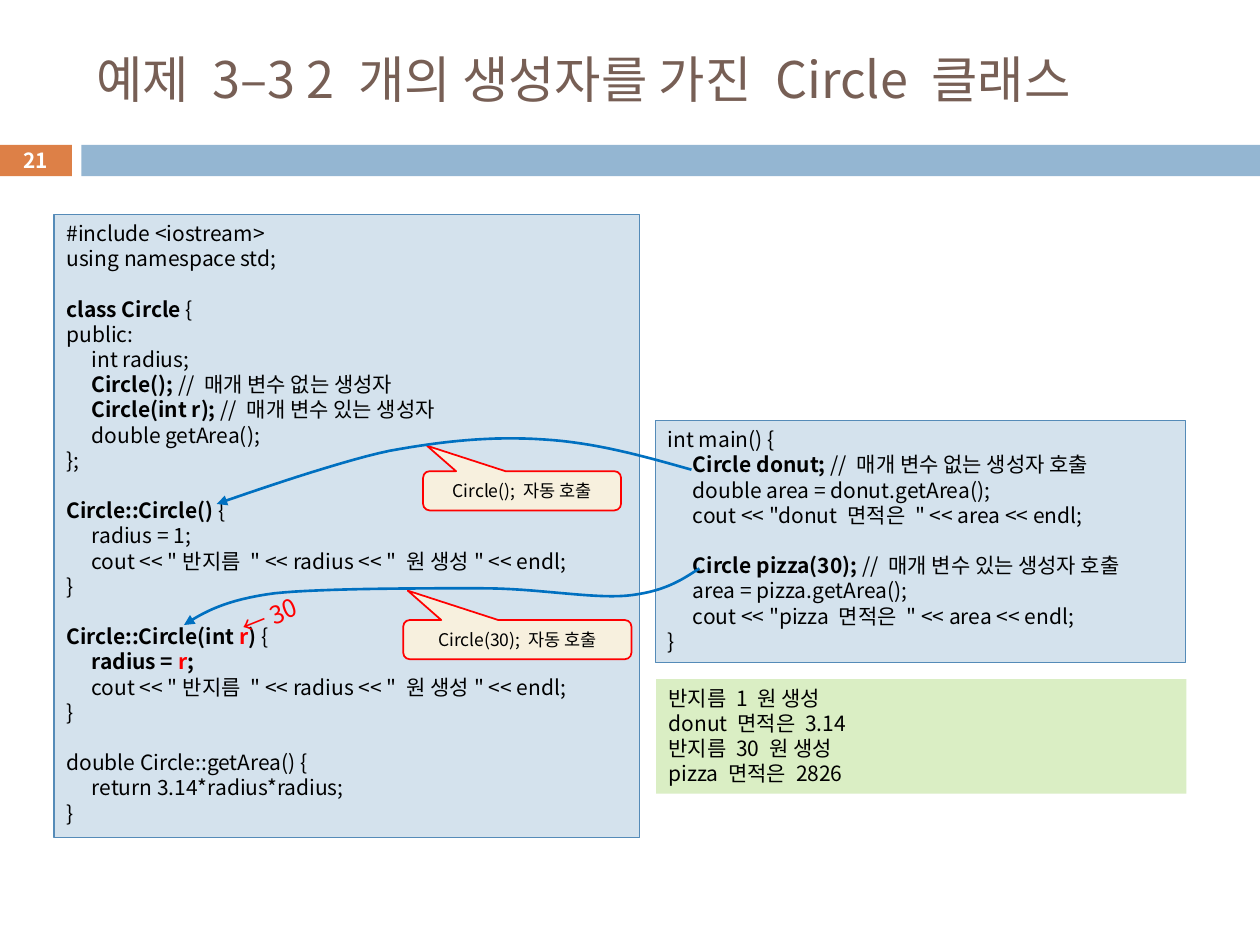
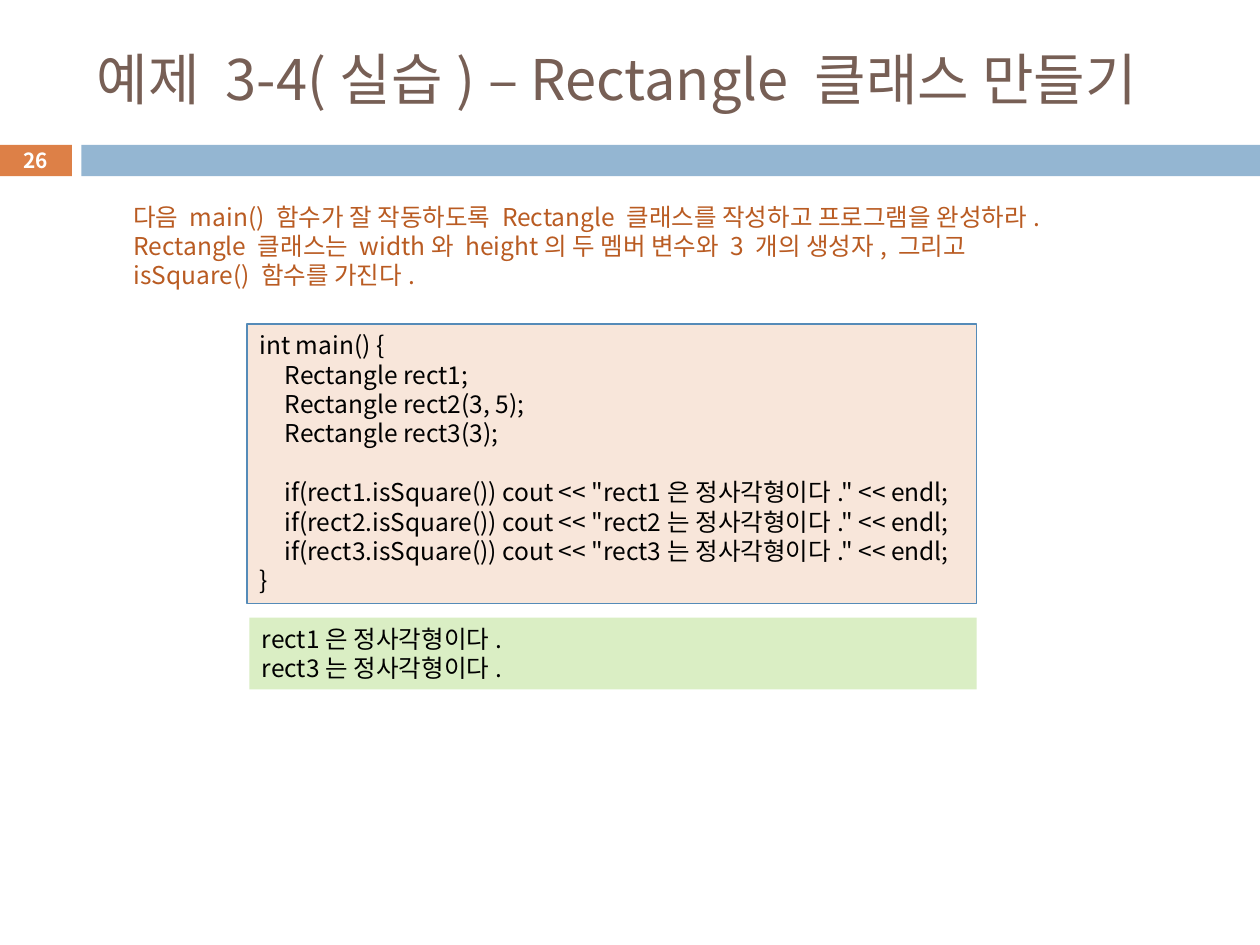
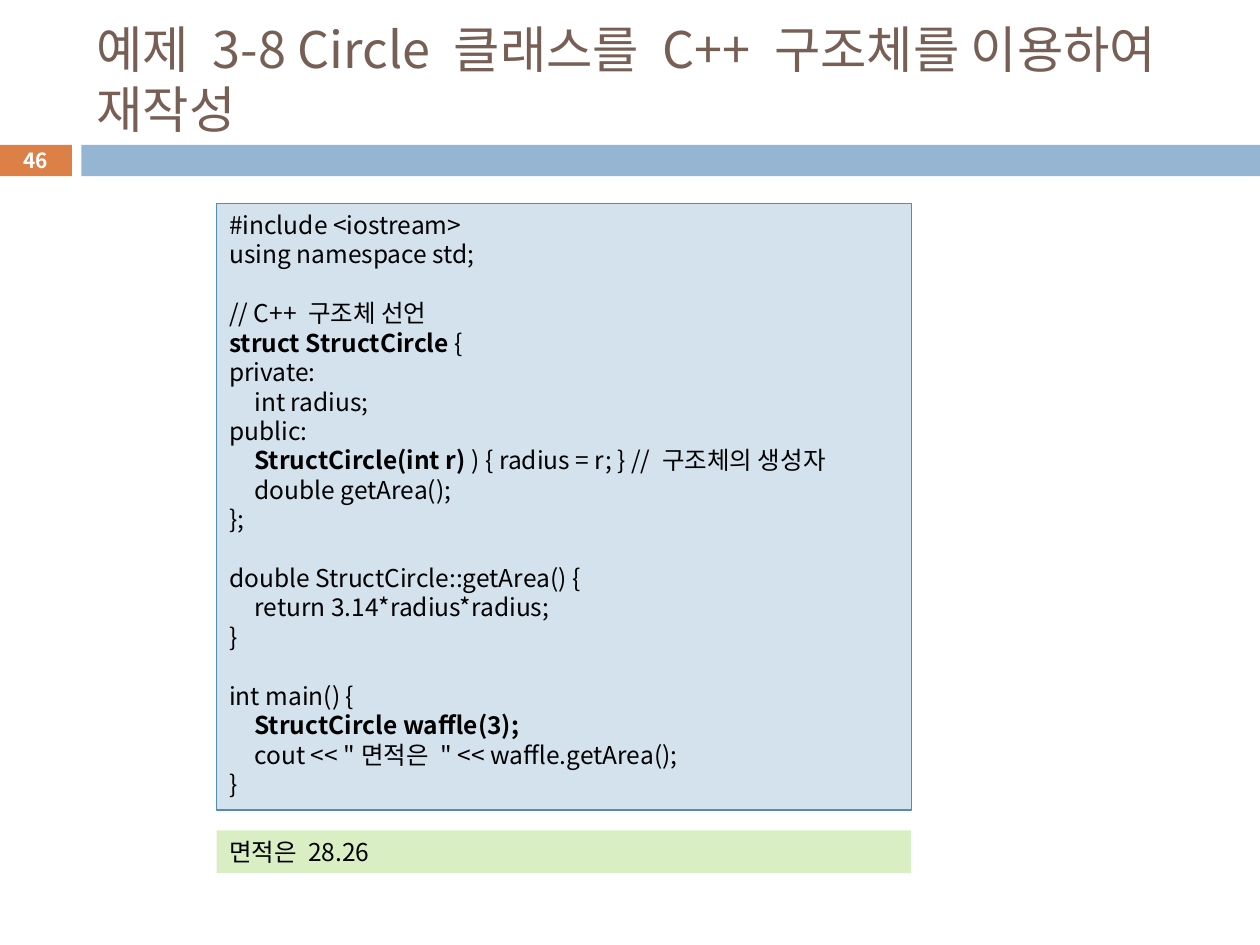
from dataclasses import dataclass

from lxml import etree
from pptx import Presentation
from pptx.dml.color import RGBColor
from pptx.enum.shapes import MSO_SHAPE
from pptx.enum.text import MSO_ANCHOR, PP_ALIGN
from pptx.oxml.ns import qn
from pptx.util import Cm, Pt

RECTANGLE = MSO_SHAPE.RECTANGLE
CALLOUT = MSO_SHAPE.ROUNDED_RECTANGULAR_CALLOUT
TOP, MIDDLE = MSO_ANCHOR.TOP, MSO_ANCHOR.MIDDLE
LEFT, CENTER = PP_ALIGN.LEFT, PP_ALIGN.CENTER


@dataclass(frozen=True)
class Theme:
    font: str = "Noto Sans CJK KR"
    title: str = "775F55"
    tab: str = "DD8047"
    band: str = "94B6D2"
    code: str = "D4E2ED"
    exercise: str = "F8E6DA"
    output: str = "DAEEC4"
    outline: str = "558BB8"
    note: str = "F7F0DE"
    accent: str = "FF0000"
    arrow: str = "0070C0"
    intro: str = "B95B22"
    text: str = "000000"
    white: str = "FFFFFF"
    title_size: float = 28.8
    wide_title_size: float = 32
    number_size: float = 11.9
    small_size: float = 10
    code_size: float = 12
    body_size: float = 14
    line_height: float = 1.2


THEME = Theme()


def add_box(page, place, fill=None, outline=None, kind=RECTANGLE, weight=0.75):
    """Add a shape at (left, top, width, height) in cm; without a fill, a text box."""
    lengths = [Cm(value) for value in place]
    if fill is None:
        return page.shapes.add_textbox(*lengths)
    box = page.shapes.add_shape(kind, *lengths)
    box.shadow.inherit = False
    box.fill.solid()
    box.fill.fore_color.rgb = RGBColor.from_string(fill)
    if outline:
        box.line.color.rgb = RGBColor.from_string(outline)
        box.line.width = Pt(weight)
    else:
        box.line.fill.background()
    return box


def write(box, text, size=THEME.body_size, color=THEME.text, bold=False,
          align=LEFT, anchor=TOP, wrap=True):
    """Write lines: ** toggles bold, ^^ toggles the accent colour,
    leading blanks indent a line and an empty line opens a gap."""
    frame = box.text_frame
    frame.word_wrap = wrap
    frame.vertical_anchor = anchor
    para, gap = None, False
    for line in text.strip().split("\n"):
        if not line:
            gap = True
            continue
        para = frame.add_paragraph() if para else frame.paragraphs[0]
        para.alignment = align
        para.line_spacing = Pt(size * THEME.line_height)
        if gap:
            para.space_before = Pt(size * THEME.line_height)
            gap = False
        if line.startswith(" "):
            para._p.get_or_add_pPr().set("marL", str(Cm(0.51)))
        for i, part in enumerate(line.lstrip().split("**")):
            for j, piece in enumerate(part.split("^^")):
                if not piece:
                    continue
                span = para.add_run()
                span.text = piece
                span.font.size = Pt(size)
                span.font.bold = bold or i % 2 == 1
                span.font.color.rgb = RGBColor.from_string(THEME.accent if j % 2 else color)
                span.font.name = THEME.font
                east_asian = etree.SubElement(span.font._element, qn("a:ea"))
                east_asian.set("typeface", THEME.font)


deck = Presentation()
deck.slide_width, deck.slide_height = Cm(25.4), Cm(19.05)

# Title, number tab and band on every page
pages = []
for number, title, title_size in (
    (21, "예제 3–3 2 개의 생성자를 가진 Circle 클래스", THEME.title_size),
    (26, "예제 3-4(실습) – Rectangle 클래스 만들기", THEME.wide_title_size),
    (46, "예제 3-8 Circle 클래스를 C++ 구조체를 이용하여 재작성", THEME.title_size),
):
    page = deck.slides.add_slide(deck.slide_layouts[6])
    tab = add_box(page, (0, 2.92, 1.45, 0.63), THEME.tab)
    tab.text_frame.margin_top = tab.text_frame.margin_bottom = 0
    write(tab, str(number), THEME.number_size, THEME.white, bold=True,
          align=CENTER, anchor=MIDDLE)
    add_box(page, (1.64, 2.92, 23.76, 0.63), THEME.band)
    write(add_box(page, (1.7, 0.64, 22.66, 1.88)), title, title_size, THEME.title,
          anchor=MIDDLE)
    pages.append(page)
constructors, exercise, structure = pages

# Two constructors of Circle
write(add_box(constructors, (1.09, 4.32, 11.81, 12.57), THEME.code, THEME.outline), """
#include <iostream>
using namespace std;

**class Circle **{
public:
    int radius;
    **Circle(); **// 매개 변수 없는 생성자
    **Circle(int r); **// 매개 변수 있는 생성자
    double getArea();
};

**Circle::Circle() **{
    radius = 1;
    cout << "반지름 " << radius << " 원 생성" << endl;
}

**Circle::Circle(int ^^r^^) **{
    **radius = ^^r^^;**
    cout << "반지름 " << radius << " 원 생성" << endl;
}

double Circle::getArea() {
    return 3.14*radius*radius;
}
""", THEME.code_size)

write(add_box(constructors, (13.21, 8.48, 10.69, 4.88), THEME.code, THEME.outline), """
int main() {
    **Circle donut; **// 매개 변수 없는 생성자 호출
    double area = donut.getArea();
    cout << "donut 면적은 " << area << endl;

    **Circle pizza(30); **// 매개 변수 있는 생성자 호출
    area = pizza.getArea();
    cout << "pizza 면적은 " << area << endl;
}
""", THEME.code_size)

for text, place, pointer in (
    ("Circle(30); 자동 호출", (8.13, 12.5, 4.6, 0.79), (-0.48, -1.25)),
    ("Circle(); 자동 호출", (8.53, 9.5, 3.99, 0.79), (-0.48, -1.15)),
):
    callout = add_box(constructors, place, THEME.note, THEME.accent, CALLOUT, weight=1)
    callout.adjustments[0], callout.adjustments[1] = pointer
    write(callout, text, THEME.small_size, align=CENTER, anchor=MIDDLE)

argument = add_box(constructors, (4.6, 11.99, 1.73, 0.86))
argument.rotation = 338.1
write(argument, "← 30", color=THEME.accent, wrap=False)

write(add_box(constructors, (13.23, 13.69, 10.69, 2.31), THEME.output), """
반지름 1 원 생성
donut 면적은 3.14
반지름 30 원 생성
pizza 면적은 2826
""", THEME.code_size)

# Each call arrow is a start point followed by Bézier triples
STEPS = 16
for points in (
    [(13.94, 9.47), (12.95, 9.19), (11.99, 8.92), (10.95, 8.86),
     (9.93, 8.79), (8.94, 8.89), (7.85, 9.09),
     (6.73, 9.32), (4.37, 10.16), (4.37, 10.16)],
    [(14.1, 11.46), (13.72, 11.71), (13.36, 11.94), (12.62, 12.01),
     (11.89, 12.07), (10.85, 11.86), (9.68, 11.86),
     (8.48, 11.86), (6.53, 11.86), (5.54, 11.96),
     (4.55, 12.09), (4.11, 12.34), (3.71, 12.6)],
):
    curve = []
    for first in range(0, len(points) - 1, 3):
        controls = points[first:first + 4]
        for step in range(1, STEPS + 1):
            t = step / STEPS
            weights = ((1 - t) ** 3, 3 * t * (1 - t) ** 2, 3 * t ** 2 * (1 - t), t ** 3)
            curve.append([Cm(sum(w * point[axis] for w, point in zip(weights, controls)))
                          for axis in (0, 1)])
    builder = constructors.shapes.build_freeform(*[Cm(value) for value in points[0]])
    builder.add_line_segments(curve, close=False)
    arrow = builder.convert_to_shape()
    arrow.shadow.inherit = False
    arrow.fill.background()
    arrow.line.color.rgb = RGBColor.from_string(THEME.arrow)
    arrow.line.width = Pt(1.5)
    outline = arrow._element.spPr.find(qn("a:ln"))
    etree.SubElement(outline, qn("a:tailEnd")).set("type", "triangle")

# Rectangle exercise
write(add_box(exercise, (2.44, 3.94, 19.81, 2.06)), """
다음 main() 함수가 잘 작동하도록 Rectangle 클래스를 작성하고 프로그램을 완성하라.
Rectangle 클래스는 width와 height의 두 멤버 변수와 3 개의 생성자, 그리고 isSquare() 함수를 가진다.
""", color=THEME.intro)

write(add_box(exercise, (4.98, 6.53, 14.71, 5.64), THEME.exercise, THEME.outline), """
int main() {
    Rectangle rect1;
    Rectangle rect2(3, 5);
    Rectangle rect3(3);

    if(rect1.isSquare()) cout << "rect1은 정사각형이다." << endl;
    if(rect2.isSquare()) cout << "rect2는 정사각형이다." << endl;
    if(rect3.isSquare()) cout << "rect3는 정사각형이다." << endl;
}
""")

write(add_box(exercise, (5.03, 12.45, 14.66, 1.45), THEME.output), """
rect1은 정사각형이다.
rect3는 정사각형이다.
""")

# Circle as a structure
write(add_box(structure, (4.37, 4.11, 14, 12.22), THEME.code, THEME.outline), """
#include <iostream>
using namespace std;

// C++ 구조체 선언
**struct StructCircle **{
private:
    int radius;
public:
    **StructCircle(int r) **) { radius = r; } // 구조체의 생성자
    double getArea();
};

double StructCircle::getArea() {
    return 3.14*radius*radius;
}

int main() {
    **StructCircle waffle(3);**
    cout << "면적은 " << waffle.getArea();
}
""")

write(add_box(structure, (4.37, 16.74, 14, 0.86), THEME.output), "면적은 28.26")

deck.save("out.pptx")
